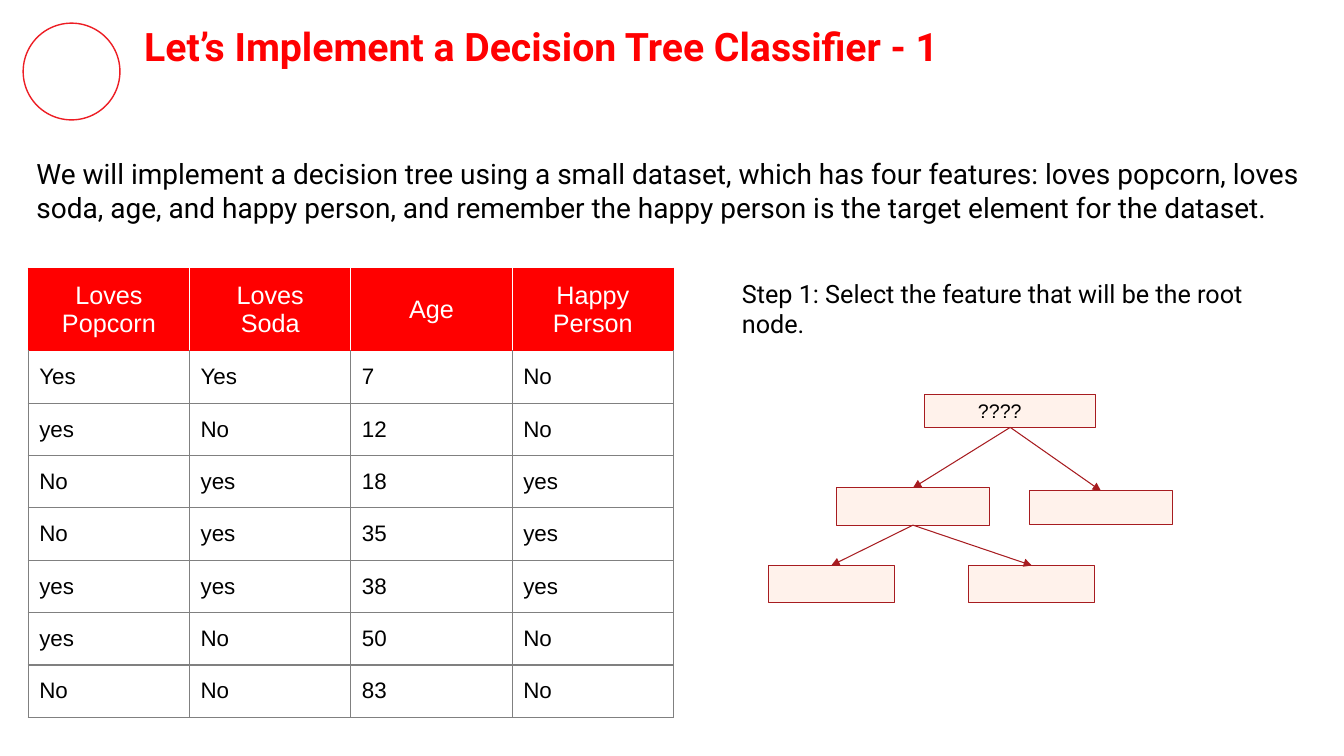
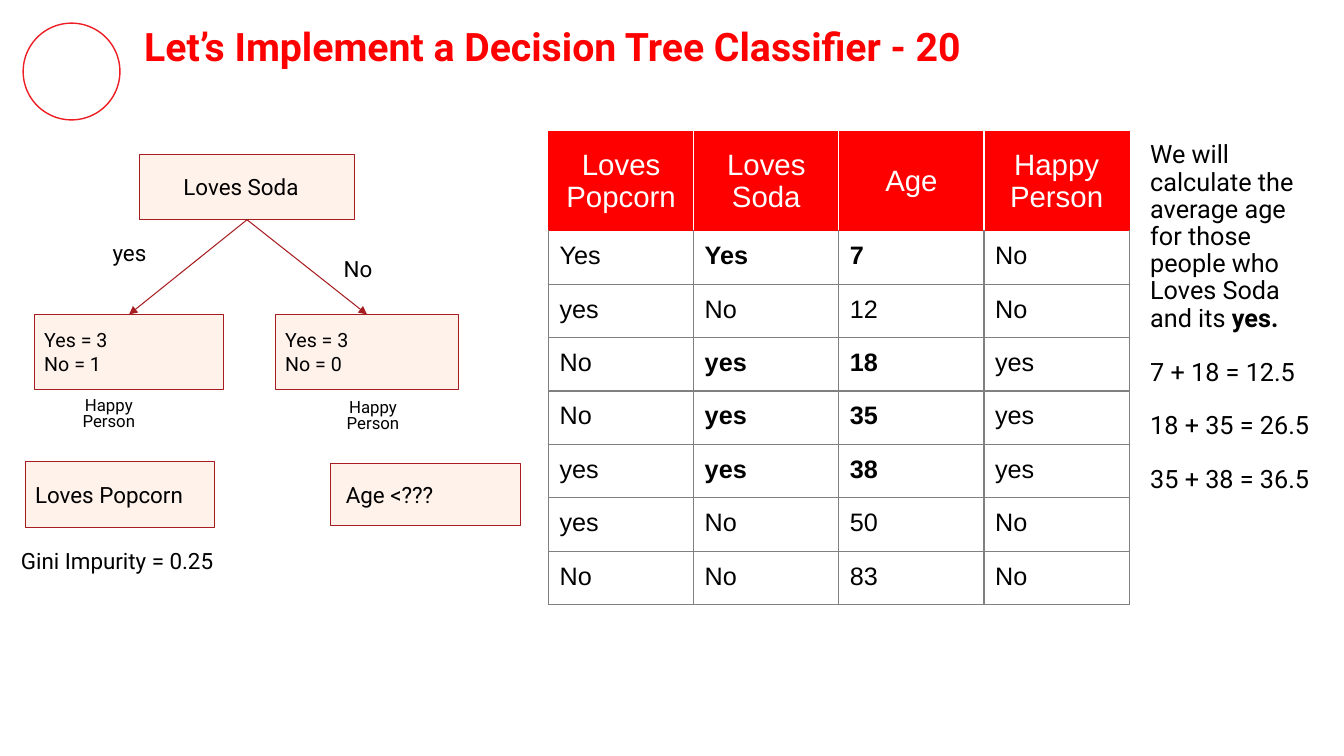
from lxml.etree import SubElement
from pptx import Presentation
from pptx.dml.color import RGBColor
from pptx.enum.shapes import MSO_CONNECTOR, MSO_SHAPE
from pptx.enum.text import MSO_ANCHOR, MSO_AUTO_SIZE, PP_ALIGN
from pptx.oxml.ns import qn
from pptx.util import Inches, Pt

COLORS = {
    "title": "FF0001",
    "ring": "ED1D24",
    "header": "FF0000",
    "grid": "808080",
    "node": "FFF2EB",
    "edge": "A71C20",
    "text": "000000",
    "white": "FFFFFF",
}
BODY_FONT = "Roboto"
TABLE_FONT = "Arial"
PEOPLE = [
    ("Yes", "Yes", "7", "No"),
    ("yes", "No", "12", "No"),
    ("No", "yes", "18", "yes"),
    ("No", "yes", "35", "yes"),
    ("yes", "yes", "38", "yes"),
    ("yes", "No", "50", "No"),
    ("No", "No", "83", "No"),
]


def rgb(name):
    """Return the named palette colour."""
    return RGBColor.from_string(COLORS[name])


def style_font(font, size, color="text", bold=False, name=BODY_FONT):
    """Set the face, size, colour and weight of a font."""
    font.name, font.size, font.bold = name, Pt(size), bold
    font.color.rgb = rgb(color)


def write_text(frame, text, size, align=PP_ALIGN.LEFT, line_spacing=None, gap=0, **font):
    """Fill a text frame, one paragraph per line of text."""
    frame.text = text
    for index, para in enumerate(frame.paragraphs):
        para.alignment = align
        if line_spacing:
            para.line_spacing = line_spacing
        if index and gap:
            para.space_before = Pt(gap)
        for span in para.runs:
            style_font(span.font, size, **font)


def set_frame(frame, anchor, left_inset=0.1):
    """Set wrapping, anchor and insets of a text frame."""
    frame.word_wrap = True
    frame.auto_size = MSO_AUTO_SIZE.NONE
    frame.vertical_anchor = anchor
    frame.margin_left = Inches(left_inset)
    frame.margin_top = frame.margin_right = frame.margin_bottom = Inches(0.1)


def add_ring(deck_layout, slide):
    """Put the ring on the layout so that every slide shows it."""
    ring = slide.shapes.add_shape(
        MSO_SHAPE.OVAL, Inches(0.23), Inches(0.23), Inches(0.96), Inches(0.96))
    ring.shadow.inherit = False
    ring.fill.background()
    ring.line.color.rgb = rgb("ring")
    ring.line.width = Pt(1)
    deck_layout.shapes.element.append(ring.element)


def add_titled_slide(deck, layout, title):
    """Add a slide with the shared title style."""
    slide = deck.slides.add_slide(layout)
    holder = slide.shapes.title
    holder.left, holder.top = Inches(1.33), Inches(0.12)
    holder.width, holder.height = Inches(11.18), Inches(0.67)
    set_frame(holder.text_frame, MSO_ANCHOR.TOP)
    write_text(holder.text_frame, title, 28, color="title", bold=True)
    return slide


def add_text(slide, place, text, size, anchor=MSO_ANCHOR.TOP, left_inset=0.1, **style):
    """Add a text box and return its frame."""
    frame = slide.shapes.add_textbox(*map(Inches, place)).text_frame
    set_frame(frame, anchor, left_inset)
    write_text(frame, text, size, **style)
    return frame


def add_node(slide, place, text="", size=16, left_inset=0.1,
             kind=MSO_SHAPE.RECTANGLE, name=BODY_FONT):
    """Add a tree node."""
    node = slide.shapes.add_shape(kind, *map(Inches, place))
    node.shadow.inherit = False
    node.fill.solid()
    node.fill.fore_color.rgb = rgb("node")
    node.line.color.rgb = rgb("edge")
    node.line.width = Pt(0.75)
    if text:
        set_frame(node.text_frame, MSO_ANCHOR.MIDDLE, left_inset)
        write_text(node.text_frame, text, size, name=name)
    return node


def add_branches(slide, parent, *children):
    """Draw arrows from the bottom of a node to the tops of its children."""
    for child in children:
        edge = slide.shapes.add_connector(MSO_CONNECTOR.STRAIGHT, 0, 0, 0, 0)
        edge.begin_connect(parent, 2)
        edge.end_connect(child, 0)
        edge.line.color.rgb = rgb("edge")
        edge.line.width = Pt(0.75)
        SubElement(edge.line._get_or_add_ln(), qn("a:tailEnd"), type="triangle")
        SubElement(edge.element.spPr, qn("a:effectLst"))


def set_borders(cell, **sides):
    """Draw one-point borders in the colours named by side."""
    properties = cell._tc.get_or_add_tcPr()
    for index, side in enumerate(("left", "right", "top", "bottom")):
        line = properties.makeelement(qn(f"a:ln{side[0].upper()}"), {"w": str(Pt(1))})
        fill = SubElement(line, qn("a:solidFill"))
        SubElement(fill, qn("a:srgbClr"), val=COLORS[sides[side]])
        properties.insert(index, line)


def fill_cell(cell, text, size, fill, anchor, **style):
    """Write and format one table cell."""
    cell.fill.solid()
    cell.fill.fore_color.rgb = rgb(fill)
    cell.vertical_anchor = anchor
    cell.margin_left = cell.margin_right = Inches(0.11)
    cell.margin_top = cell.margin_bottom = Inches(0.11)
    write_text(cell.text_frame, text, size, name=TABLE_FONT, **style)


def add_people_table(slide, left, top, column_width, header_height, row_height,
                     headers, header_size, body_size, anchor, highlight=False):
    """Add the data set table, with soda lovers in bold when highlighted."""
    height = header_height + row_height * len(PEOPLE)
    table = slide.shapes.add_table(
        len(PEOPLE) + 1, len(headers), Inches(left), Inches(top),
        Inches(column_width * len(headers)), Inches(height)).table
    table.horz_banding = False
    for column in table.columns:
        column.width = Inches(column_width)
    for index, row in enumerate(table.rows):
        row.height = Inches(row_height if index else header_height)
    last = len(headers) - 1
    for column, header in enumerate(headers):
        cell = table.cell(0, column)
        fill_cell(cell, header, header_size, "header", MSO_ANCHOR.MIDDLE,
                  align=PP_ALIGN.CENTER, color="white")
        set_borders(cell, top="header", bottom="header",
                    left="white" if column else "header",
                    right="white" if column < last else "header")
    for row, person in enumerate(PEOPLE, start=1):
        loves_soda = person[1].lower() == "yes"
        for column, value in enumerate(person):
            cell = table.cell(row, column)
            fill_cell(cell, value, body_size, "white", anchor,
                      bold=highlight and loves_soda and column in (1, 2))
            set_borders(cell, left="grid", right="grid", bottom="grid",
                        top="header" if row == 1 else "grid")


def build_root_slide(slide):
    """Show the data set and the empty tree."""
    add_text(slide, (0.14, 1.37, 12.95, 1.04),
             "We will implement a decision tree using a small dataset, which has four "
             "features: loves popcorn, loves soda, age, and happy person, and remember "
             "the happy person is the target element for the dataset.",
             20, anchor=MSO_ANCHOR.MIDDLE, left_inset=0.22)
    add_people_table(slide, 0.28, 2.66, 1.6, 0.82, 0.52,
                     ("Loves Popcorn", "Loves\nSoda", "Age", "Happy Person"),
                     18, 16, MSO_ANCHOR.MIDDLE)
    add_text(slide, (7.26, 2.66, 5.4, 4.05),
             "Step 1: Select the feature that will be the root node.", 18)
    root = add_node(slide, (9.17, 3.91, 1.7, 0.33), "????", 14, 0.53, name=TABLE_FONT)
    inner = add_node(slide, (8.3, 4.84, 1.51, 0.37))
    right_leaf = add_node(slide, (10.21, 4.87, 1.42, 0.33))
    lower_leaves = [add_node(slide, (left, 5.61, 1.25, 0.37)) for left in (7.62, 9.61)]
    add_branches(slide, root, inner, right_leaf)
    add_branches(slide, inner, *lower_leaves)


def build_age_slide(slide):
    """Show the soda split and the average ages."""
    add_people_table(slide, 5.44, 1.31, 1.44, 0.98, 0.53,
                     ("Loves Popcorn", "Loves Soda", "Age", "Happy Person"),
                     21, 18, MSO_ANCHOR.TOP, highlight=True)
    process = MSO_SHAPE.FLOWCHART_PROCESS
    root = add_node(slide, (1.38, 1.53, 2.14, 0.65), "Loves Soda", left_inset=0.44)
    leaves = [
        add_node(slide, (left, 3.12, width, 0.74), text, 14, kind=process)
        for left, width, text in ((0.34, 1.88, "Yes = 3\nNo = 1"),
                                  (2.73, 1.82, "Yes = 3\nNo = 0"))
    ]
    add_branches(slide, root, *leaves)
    add_text(slide, (0.43, 2.32, 1.12, 0.42), "yes", 16,
             align=PP_ALIGN.RIGHT, line_spacing=0.8)
    add_text(slide, (3.31, 2.48, 0.91, 0.42), "No", 16, line_spacing=0.8)
    for left, top in ((0.36, 3.85), (2.98, 3.87)):
        add_text(slide, (left, top, 1.44, 0.57), "Happy\nPerson", 12,
                 align=PP_ALIGN.CENTER, line_spacing=0.8)
    add_node(slide, (0.25, 4.58, 1.88, 0.65), "Loves Popcorn", kind=process)
    add_node(slide, (3.28, 4.6, 1.88, 0.61), "Age <???", left_inset=0.15)
    add_text(slide, (0.11, 5.38, 2.26, 0.32), "Gini Impurity = 0.25", 16, line_spacing=0.8)
    averages = add_text(
        slide, (11.31, 1.31, 1.8, 3.76),
        "We will calculate the average age for those people who Loves Soda and its \n"
        "7 + 18 = 12.5\n18 + 35 = 26.5\n35 + 38 = 36.5",
        18, line_spacing=0.9, gap=19)
    answer = averages.paragraphs[0].add_run()
    answer.text = "yes."
    style_font(answer.font, 18, bold=True)


def main():
    """Build and save the deck."""
    deck = Presentation()
    deck.slide_width, deck.slide_height = Inches(13.33), Inches(7.5)
    layout = deck.slide_layouts[5]
    title = "Let’s Implement a Decision Tree Classifier - "
    root_slide = add_titled_slide(deck, layout, title + "1")
    add_ring(layout, root_slide)
    build_root_slide(root_slide)
    build_age_slide(add_titled_slide(deck, layout, title + "20"))
    deck.save("out.pptx")


if __name__ == "__main__":
    main()
